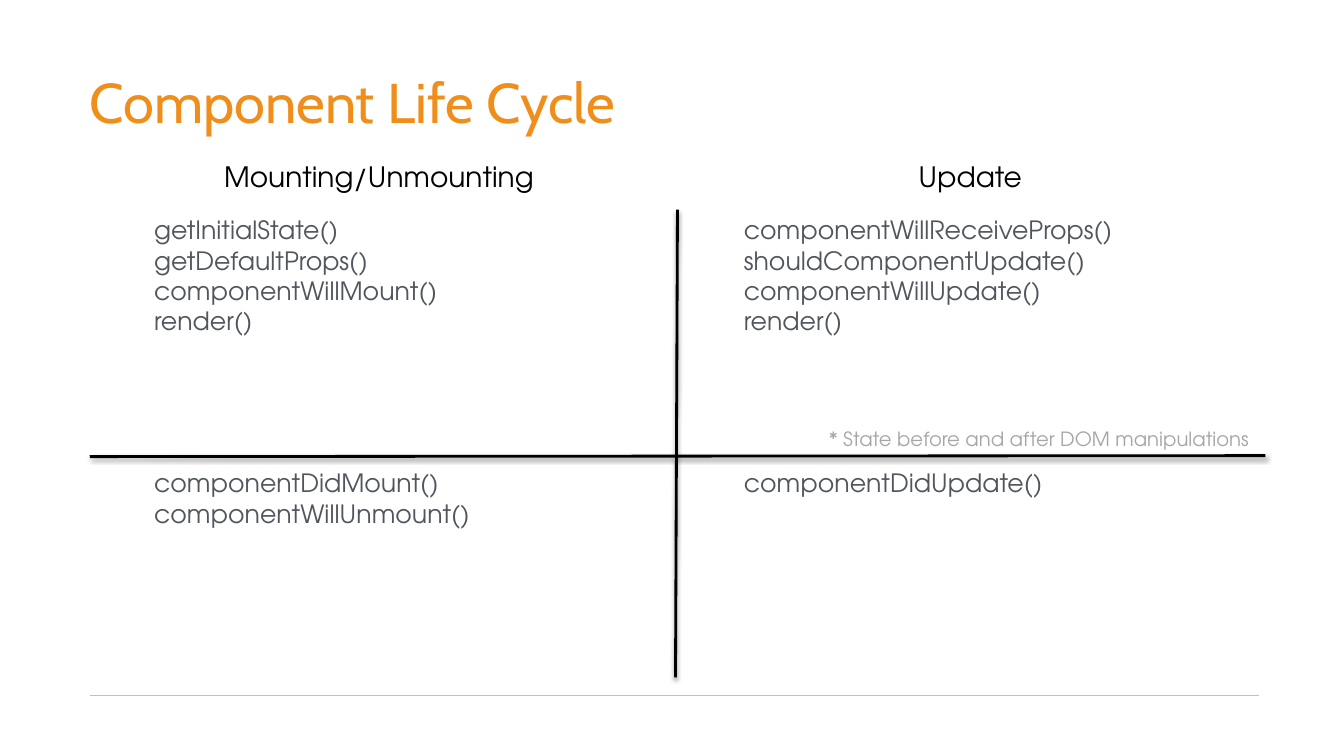
from lxml import etree
from pptx import Presentation, util as u
from pptx.dml.color import RGBColor
from pptx.enum import shapes, text
from pptx.oxml import parse_xml
from pptx.oxml.ns import nsdecls, qn

WIDTH, HEIGHT = u.Inches(13.33), u.Inches(7.5)
ORANGE = RGBColor(0xF0, 0x8E, 0x1B)
BLACK = RGBColor(0, 0, 0)
SLATE = RGBColor(0x51, 0x56, 0x5E)
GRAY = RGBColor(0xA6, 0xA6, 0xA6)
RULE = RGBColor(0xBF, 0xBF, 0xBF)
TITLE_FONT, BODY_FONT = "Cabin", "TeX Gyre Adventor"

MARGIN, MIDDLE, RIGHT = 6.68, 50.3, 94.1
METHOD_COLUMNS = (10.73, 54.61)
HEADING_ROW, BEFORE_ROW, AFTER_ROW = 20.4, 27.73, 61.2
LINE_ROW = 4.04

PHASES = [
    ("Mounting/Unmounting ",
     ["getInitialState()", "getDefaultProps()", "componentWillMount()", "render()"],
     ["componentDidMount()", "componentWillUnmount()"]),
    ("Update",
     ["componentWillReceiveProps() shouldComponentUpdate()",
      "componentWillUpdate()", "render()"],
     ["componentDidUpdate()"]),
]


def x(share):
    return round(WIDTH * share / 100)


def y(share):
    return round(HEIGHT * share / 100)


def add_text(s, left, top, width, height, lines, size, color,
             font=BODY_FONT, align=text.PP_ALIGN.LEFT):
    sp = s.shapes.add_textbox(x(left), y(top), x(width), y(height))
    tf = sp.text_frame
    tf.word_wrap = True
    for i, line in enumerate(lines):
        p = tf.paragraphs[0] if i == 0 else tf.add_paragraph()
        p.alignment = align
        r = p.add_run()
        r.text = line
        r.font.name = font
        r.font.size = u.Pt(size)
        r.font.color.rgb = color
    return tf


def add_line(s, start, end, color, weight, shadow=False):
    line = s.shapes.add_connector(
        shapes.MSO_CONNECTOR.STRAIGHT,
        x(start[0]), y(start[1]), x(end[0]), y(end[1]))
    line.line.color.rgb = color
    line.line.width = u.Pt(weight)
    effects = etree.SubElement(line._element.spPr, qn("a:effectLst"))
    if shadow:
        effects.append(parse_xml(
            f'<a:outerShdw {nsdecls("a")} blurRad="{u.Pt(3.1)}" dist="{u.Pt(1.6)}" '
            'dir="5400000" rotWithShape="0"><a:srgbClr val="000000">'
            '<a:alpha val="38000"/></a:srgbClr></a:outerShdw>'))


def add_title(s, title):
    tf = add_text(s, MARGIN, 8, 87.4, 10.53, [title], 40, ORANGE, TITLE_FONT)
    tf.vertical_anchor = text.MSO_ANCHOR.BOTTOM
    tf.margin_left = tf.margin_top = 0


def add_methods(s, left, top, methods, line_count):
    add_text(s, left, top, 39.61, 1.33 + LINE_ROW * line_count, methods, 18, SLATE)


def main():
    prs = Presentation()
    prs.slide_width, prs.slide_height = WIDTH, HEIGHT
    s = prs.slides.add_slide(prs.slide_layouts[6])

    add_line(s, (MARGIN, 92), (93.7, 92), RULE, 0.75)
    add_title(s, "Component Life Cycle")
    add_line(s, (50.41, BEFORE_ROW), (50.26, 89.6), BLACK, 2, shadow=True)
    add_line(s, (MARGIN, 60.4), (94.15, 60.27), BLACK, 2, shadow=True)

    edges = (MARGIN, MIDDLE, RIGHT)
    for i, (heading, before, after) in enumerate(PHASES):
        add_text(s, edges[i], HEADING_ROW, edges[i + 1] - edges[i], 5.83,
                 [heading], 20, BLACK, align=text.PP_ALIGN.CENTER)
        add_methods(s, METHOD_COLUMNS[i], BEFORE_ROW, before, 4)
        add_methods(s, METHOD_COLUMNS[i], AFTER_ROW, after, len(after))

    add_text(s, MARGIN, 55.87, RIGHT - MARGIN, 4.53,
             ["* State before and after DOM manipulations "], 14, GRAY,
             align=text.PP_ALIGN.RIGHT)
    prs.save("out.pptx")


if __name__ == "__main__":
    main()
